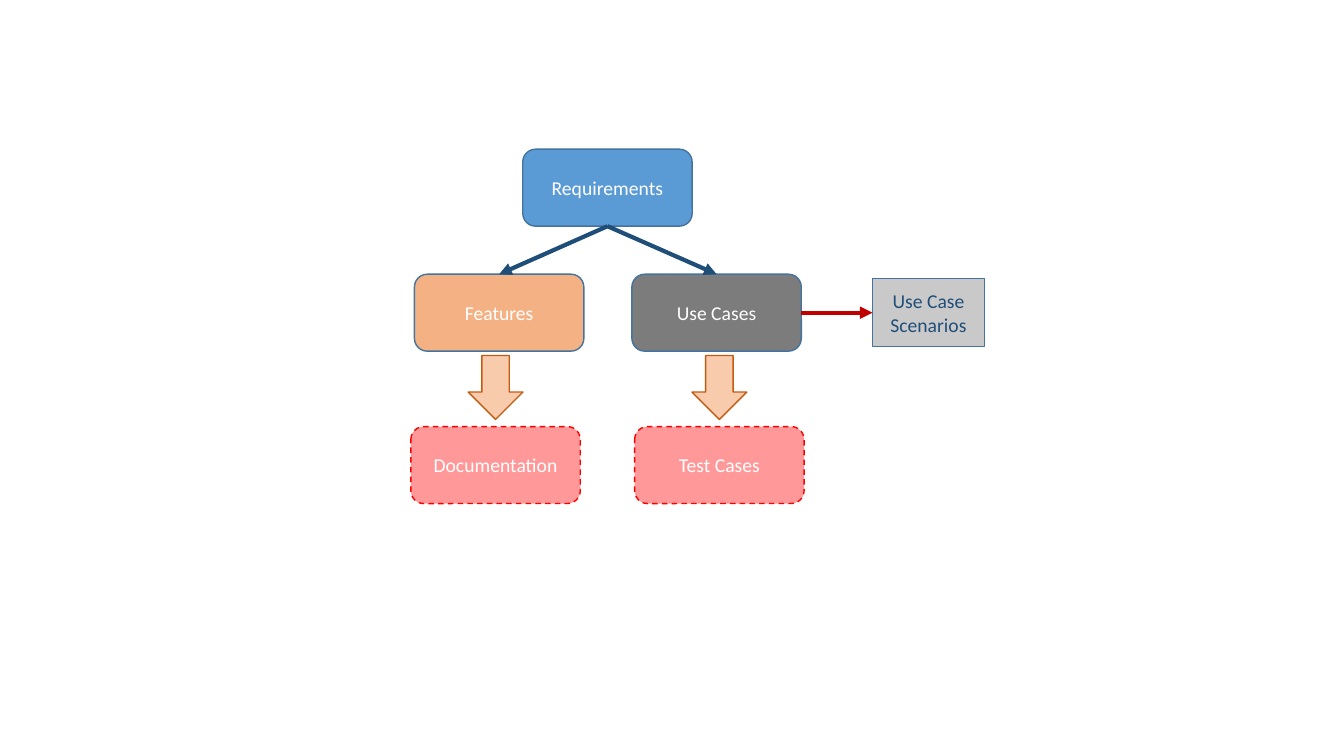
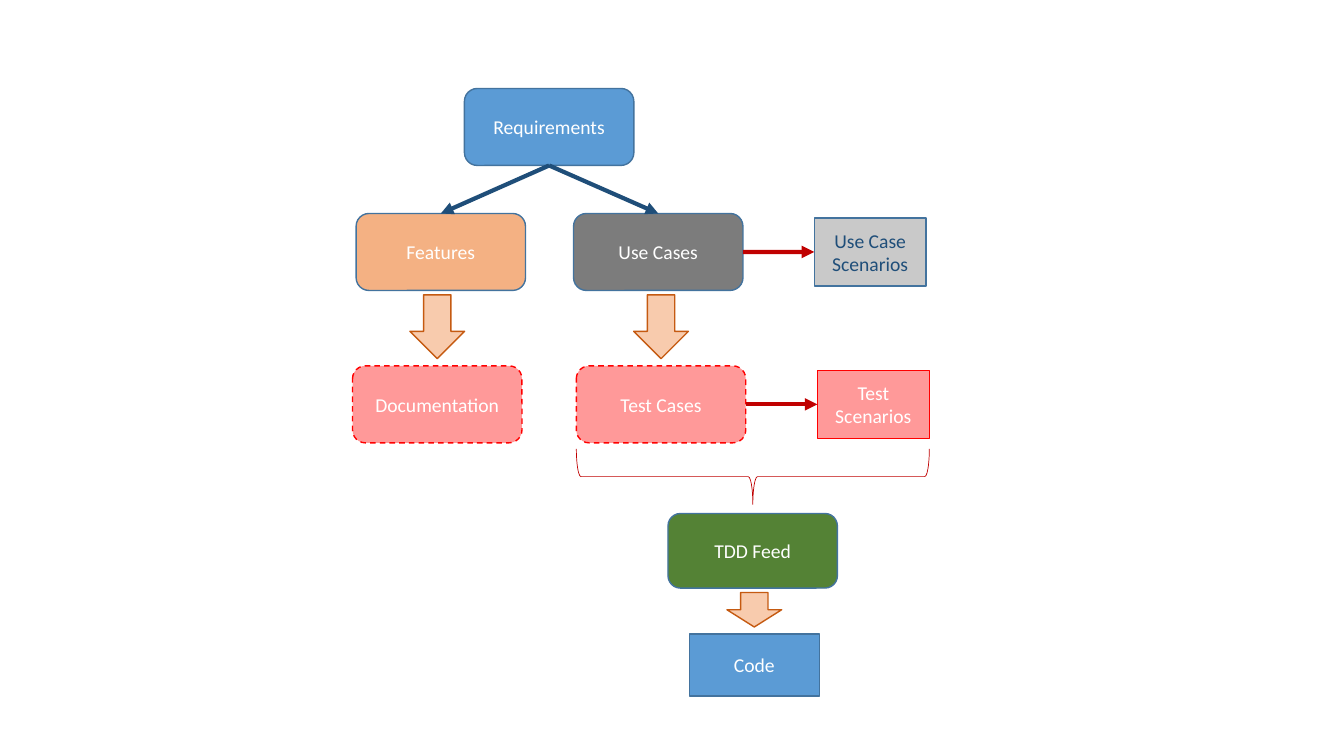
from dataclasses import dataclass

from lxml import etree
from pptx import Presentation
from pptx import util as u
from pptx.dml.color import RGBColor
from pptx.enum import dml, shapes, text
from pptx.oxml.ns import qn


@dataclass(frozen=True)
class Theme:
    """Colours, type and line weights shared by both slides."""
    font: str = "Calibri"
    size: float = 14
    white: str = "FFFFFF"
    blue: str = "5B9BD5"
    edge: str = "43739E"
    navy: str = "1F4E79"
    orange: str = "F4B183"
    gray: str = "7C7C7C"
    silver: str = "C9C9C9"
    pink: str = "FF9999"
    red: str = "FF0000"
    crimson: str = "C00000"
    green: str = "548235"
    peach: str = "F8CBAD"
    rust: str = "C55A11"
    outline: float = 1
    thin: float = 0.5
    link: float = 3


THEME = Theme()
ROUND = shapes.MSO_SHAPE.ROUNDED_RECTANGLE
RECT = shapes.MSO_SHAPE.RECTANGLE

# Style: outline shape, width and height in cm, fill, edge, text colour, dashed
STYLES = {
    "requirement": (ROUND, 4.27, 1.94, THEME.blue, THEME.edge, THEME.white, False),
    "feature": (ROUND, 4.27, 1.94, THEME.orange, THEME.edge, THEME.white, False),
    "use case": (ROUND, 4.27, 1.94, THEME.gray, THEME.edge, THEME.white, False),
    "output": (ROUND, 4.27, 1.94, THEME.pink, THEME.red, THEME.white, True),
    "scenario": (RECT, 2.82, 1.71, THEME.silver, THEME.edge, THEME.navy, False),
    "test": (RECT, 2.82, 1.71, THEME.pink, THEME.red, THEME.white, False),
    "feed": (ROUND, 4.27, 1.88, THEME.green, THEME.edge, THEME.white, False),
    "code": (RECT, 3.28, 1.56, THEME.blue, THEME.edge, THEME.white, False),
}

# Box: wording, style, centre x and y in cm from the corner of the diagram
BASE_BOXES = [
    ("Requirements", "requirement", 4.95, 0.97),
    ("Features", "feature", 2.22, 4.12),
    ("Use Cases", "use case", 7.7, 4.12),
    ("Documentation", "output", 2.13, 7.96),
    ("Test Cases", "output", 7.77, 7.96),
    ("Use Case Scenarios", "scenario", 13.04, 4.12),
]
TDD_BOXES = [
    ("Test Scenarios", "test", 13.12, 7.96),
    ("TDD Feed", "feed", 10.08, 11.65),
    ("Code", "code", 10.12, 14.53),
]
BRANCHES = [("Requirements", "Use Cases"), ("Requirements", "Features")]
BASE_SIDE = [("Use Cases", "Use Case Scenarios")]
BASE_DOWN = [("Features", "Documentation"), ("Use Cases", "Test Cases")]

SLIDES = [
    {"corner": (10.36, 3.76), "boxes": BASE_BOXES, "side": BASE_SIDE,
     "down": BASE_DOWN, "braces": []},
    {"corner": (8.89, 2.23), "boxes": BASE_BOXES + TDD_BOXES,
     "side": BASE_SIDE + [("Test Cases", "Test Scenarios")],
     "down": BASE_DOWN + [("TDD Feed", "Code")],
     "braces": [("Test Cases", "Test Scenarios")]},
]

ARROW_WIDTH, GAP_ABOVE, GAP_BELOW = u.Cm(1.38), u.Cm(0.11), u.Cm(0.18)
BRACE_DEPTH, BRACE_GAP = u.Cm(1.4), u.Cm(0.15)
TOP, LEFT, BOTTOM, RIGHT = range(4)


def rgb(value):
    """Turn a hex string into a colour."""
    return RGBColor.from_string(value)


def add_figure(slide, kind, frame, fill, edge, weight):
    """Add a preset shape without shadow; fill None leaves it open."""
    figure = slide.shapes.add_shape(kind, *(u.Emu(int(side)) for side in frame))
    figure.shadow.inherit = False
    if fill:
        figure.fill.solid()
        figure.fill.fore_color.rgb = rgb(fill)
    else:
        figure.fill.background()
    figure.line.color.rgb = rgb(edge)
    figure.line.width = u.Pt(weight)
    return figure


def add_box(slide, corner, wording, style, cx, cy):
    """Add one labelled box around its centre."""
    kind, width, height, fill, edge, ink, dashed = STYLES[style]
    frame = [u.Cm(corner[0] + cx - width / 2), u.Cm(corner[1] + cy - height / 2),
             u.Cm(width), u.Cm(height)]
    box = add_figure(slide, kind, frame, fill, edge, THEME.outline)
    if dashed:
        box.line.dash_style = dml.MSO_LINE.DASH
    label = box.text_frame
    label.text = wording
    label.word_wrap = True
    label.vertical_anchor = text.MSO_ANCHOR.MIDDLE
    paragraph = label.paragraphs[0]
    paragraph.alignment = text.PP_ALIGN.CENTER
    font = paragraph.runs[0].font
    font.name, font.size = THEME.font, u.Pt(THEME.size)
    font.color.rgb = rgb(ink)
    return box


def add_link(slide, source, source_side, target, target_side, colour):
    """Join two boxes with a straight arrow."""
    link = slide.shapes.add_connector(shapes.MSO_CONNECTOR.STRAIGHT, 0, 0, 0, 0)
    link.begin_connect(source, source_side)
    link.end_connect(target, target_side)
    link.line.color.rgb = rgb(colour)
    link.line.width = u.Pt(THEME.link)
    etree.SubElement(link.line._get_or_add_ln(), qn("a:tailEnd"), type="triangle")
    etree.SubElement(link._element.spPr, qn("a:effectLst"))


def add_down_arrow(slide, source, target):
    """Fill the gap between two boxes with a block arrow over the target."""
    top = source.top + source.height + GAP_ABOVE
    left = target.left + (target.width - ARROW_WIDTH) / 2
    frame = left, top, ARROW_WIDTH, target.top - GAP_BELOW - top
    add_figure(slide, shapes.MSO_SHAPE.DOWN_ARROW, frame,
               THEME.peach, THEME.rust, THEME.outline)


def add_brace(slide, first, last):
    """Span two neighbouring boxes from below with a turned brace."""
    span = last.left + last.width - first.left
    middle_x = first.left + span / 2
    middle_y = first.top + first.height + BRACE_GAP + BRACE_DEPTH / 2
    frame = middle_x - BRACE_DEPTH / 2, middle_y - span / 2, BRACE_DEPTH, span
    brace = add_figure(slide, shapes.MSO_SHAPE.LEFT_BRACE, frame,
                       None, THEME.crimson, THEME.thin)
    brace.rotation = 270


def build_slide(deck, plan):
    """Draw one diagram from its plan."""
    slide = deck.slides.add_slide(deck.slide_layouts[6])
    boxes = {row[0]: add_box(slide, plan["corner"], *row) for row in plan["boxes"]}
    for source, target in BRANCHES:
        add_link(slide, boxes[source], BOTTOM, boxes[target], TOP, THEME.navy)
    for source, target in plan["side"]:
        add_link(slide, boxes[source], RIGHT, boxes[target], LEFT, THEME.crimson)
    for source, target in plan["down"]:
        add_down_arrow(slide, boxes[source], boxes[target])
    for first, last in plan["braces"]:
        add_brace(slide, boxes[first], boxes[last])


def main():
    """Build and save the deck."""
    deck = Presentation()
    deck.slide_width, deck.slide_height = u.Cm(33.87), u.Cm(19.05)
    for plan in SLIDES:
        build_slide(deck, plan)
    deck.save("out.pptx")


main()
